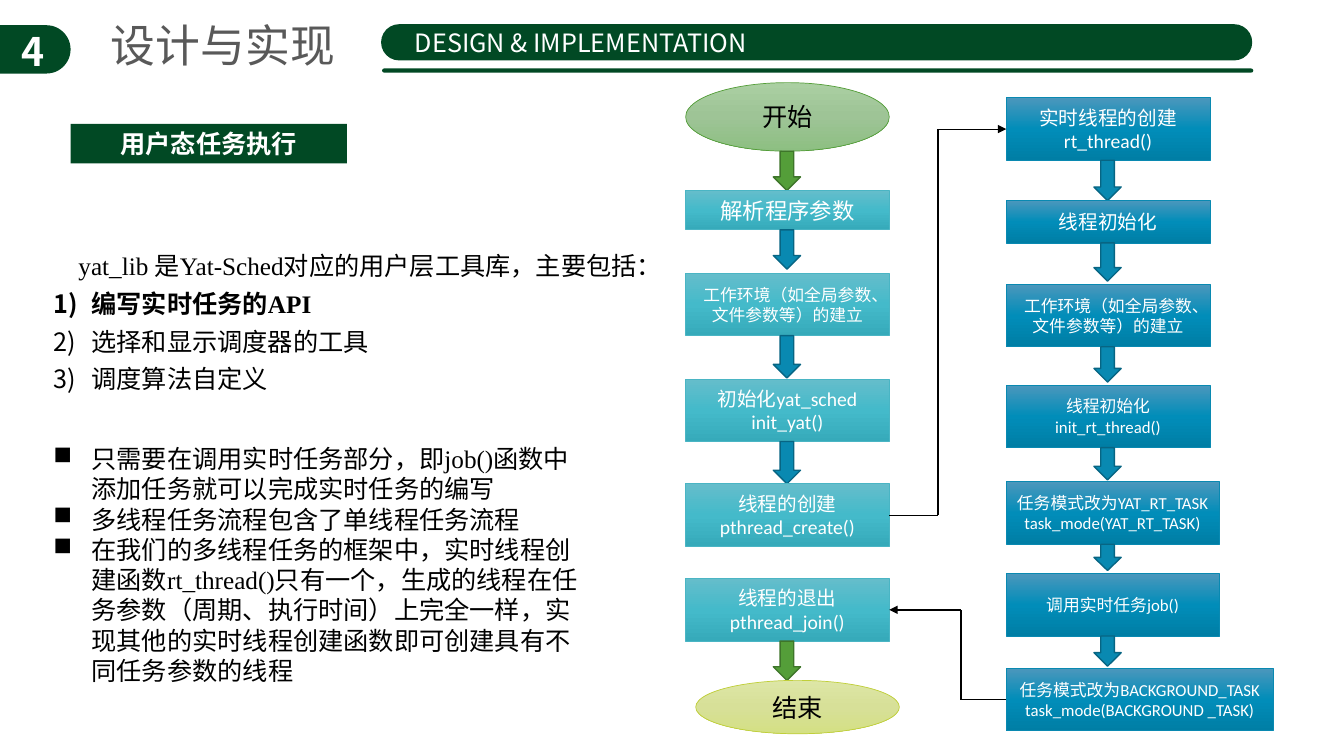
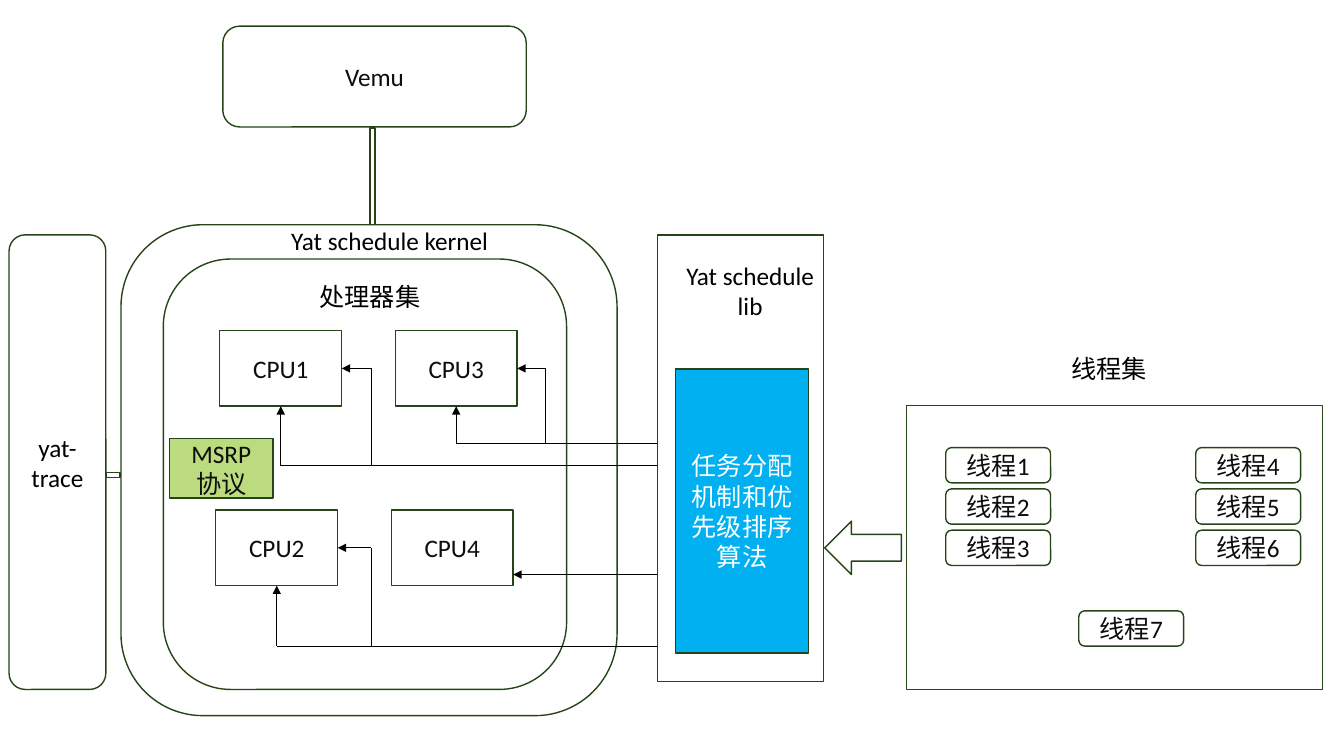
from copy import deepcopy
from dataclasses import dataclass

from lxml import etree
from pptx import Presentation
from pptx.dml.color import RGBColor
from pptx.enum.shapes import MSO_CONNECTOR, MSO_SHAPE
from pptx.enum.text import MSO_ANCHOR, MSO_AUTO_SIZE, PP_ALIGN
from pptx.oxml.ns import qn
from pptx.util import Inches, Pt

RECT, ROUND = MSO_SHAPE.RECTANGLE, MSO_SHAPE.ROUNDED_RECTANGLE
OVAL, DOWN, LEFT_ARROW = MSO_SHAPE.OVAL, MSO_SHAPE.DOWN_ARROW, MSO_SHAPE.LEFT_ARROW
STRAIGHT = MSO_CONNECTOR.STRAIGHT
TOP, MIDDLE = MSO_ANCHOR.TOP, MSO_ANCHOR.MIDDLE
LEFT, CENTER, JUSTIFY = PP_ALIGN.LEFT, PP_ALIGN.CENTER, PP_ALIGN.JUSTIFY
NO_AUTOFIT = MSO_AUTO_SIZE.NONE
LEFT_SIDE, BOTTOM_SIDE, RIGHT_SIDE = 1, 2, 3


@dataclass(frozen=True)
class Theme:
    green: str = "014924"
    outline: str = "254519"
    title: str = "595959"
    ink: str = "0D0D0D"
    black: str = "000000"
    white: str = "FFFFFF"
    algorithm: str = "00B0F0"
    protocol: str = "BBDB7E"
    start: tuple = (("AACFA2", "9EC496", "8DBF82"), "549E39")
    finish: tuple = (("DDE6A6", "D7E098", "D4E084"), "C0CF3A")
    teal: tuple = (("65BDCB", "44BACA", "36AABA"), "4AB5C4")
    blue: tuple = (("4B97BC", "018DB9", "007EA5"), "0989B1")
    green_arrow: tuple = ("549E39", "3E752A")
    blue_arrow: tuple = ("0989B1", "076583")
    font: str = "Calibri"
    cjk: str = "Noto Sans CJK SC"
    serif: str = "Times New Roman"
    title_size: int = 32
    number_size: int = 28
    body_size: int = 18
    step_size: int = 16
    detail_size: int = 14
    small_size: int = 12


T = Theme()


@dataclass(frozen=True)
class Step:
    top: float
    height: float
    text: str
    size: int
    style: tuple
    arrow: float = 0
    arrow_style: tuple = T.blue_arrow
    kind: int = RECT
    shift: float = 0
    width: float = 2.02


def write(tf, text, size=T.body_size, color=T.black, font=T.font, bold=False, align=LEFT):
    tf.text = text
    for p in tf.paragraphs:
        p.alignment = align
        for r in p.runs:
            r.font.size, r.font.name, r.font.bold = Pt(size), font, bold
            r.font.color.rgb = RGBColor.from_string(color)
            ea = etree.SubElement(r.font._element, qn("a:ea"))
            ea.set("typeface", T.cjk)


def text_box(s, box, text, wrap=True, **style):
    tf = s.shapes.add_textbox(*map(Inches, box)).text_frame
    tf.word_wrap = wrap
    write(tf, text, **style)
    return tf


def gradient(sp, colors):
    sp.fill.gradient()
    sp.fill.gradient_angle = 270
    stops = sp._element.spPr.find(".//" + qn("a:gsLst"))
    stops.append(deepcopy(stops[0]))
    for stop, position, color in zip(sp.fill.gradient_stops, (0, 0.5, 1), colors):
        stop.position = position
        stop.color.rgb = RGBColor.from_string(color)


def shape(s, kind, box, text="", fill=None, line=T.outline, width=1, radius=None, **style):
    sp = s.shapes.add_shape(kind, *map(Inches, box))
    sp.shadow.inherit = False
    if radius is not None:
        sp.adjustments[0] = radius
    if fill is None:
        sp.fill.background()
    elif isinstance(fill, tuple):
        gradient(sp, fill)
    else:
        sp.fill.solid()
        sp.fill.fore_color.rgb = RGBColor.from_string(fill)
    if line:
        sp.line.color.rgb = RGBColor.from_string(line)
        sp.line.width = Pt(width)
    else:
        sp.line.fill.background()
    if text:
        sp.text_frame.word_wrap = True
        sp.text_frame.vertical_anchor = MIDDLE
        write(sp.text_frame, text, align=CENTER, **{"color": T.ink, **style})
    return sp


def side(sp, site):
    x, y, w, h = (v / Inches(1) for v in (sp.left, sp.top, sp.width, sp.height))
    return ((x + w / 2, y), (x, y + h / 2), (x + w / 2, y + h), (x + w, y + h / 2))[site]


def route(s, points, end, widths=(0.5, 0.5), begin=None):
    points = ([side(*begin)] if begin else []) + points + [side(*end)]
    for i, (a, b) in enumerate(zip(points, points[1:])):
        cx = s.shapes.add_connector(STRAIGHT, *map(Inches, a + b))
        cx.line.color.rgb = RGBColor.from_string(T.black)
        cx.line.width = Pt(widths[i])
        if begin and i == 0:
            cx.begin_connect(*begin)
        if i == len(points) - 2:
            cx.end_connect(*end)
            tail = etree.SubElement(cx.line._get_or_add_ln(), qn("a:tailEnd"))
            tail.set("type", "triangle")
        etree.SubElement(cx._element.spPr, qn("a:effectLst"))


def bullet(p, tag, **attributes):
    pPr = p._p.get_or_add_pPr()
    pPr.set("marL", str(Inches(0.38)))
    pPr.set("indent", str(-Inches(0.38)))
    etree.SubElement(pPr, qn(tag), attributes)


def header(s, x, y, number, title, subtitle):
    bar = dict(fill=T.green, line=None, radius=0.5)
    shape(s, ROUND, (x - 0.28, y + 0.25, 0.98, 0.48), **bar)
    text_box(s, (x + 0.07, y + 0.22, 0.51, 0.57), number, size=T.number_size,
             color=T.white, font=T.cjk, bold=True, align=CENTER)
    ph = s.shapes.title
    ph.left, ph.top, ph.width, ph.height = map(Inches, (x + 1, y + 0.13, 2.45, 0.64))
    tf = ph.text_frame
    tf.word_wrap, tf.auto_size, tf.vertical_anchor = False, NO_AUTOFIT, TOP
    write(tf, title, size=T.title_size, color=T.title, font=T.cjk)
    shape(s, ROUND, (x + 3.78, y + 0.24, 8.64, 0.36), **bar)
    shape(s, ROUND, (x + 3.79, y + 0.68, 8.64, 0.04), **bar)
    text_box(s, (x + 2.22, y + 0.22, 7.08, 0.4), subtitle, color=T.white,
             font=T.cjk, align=CENTER)


def explanation(s, x, y):
    shape(s, RECT, (x + 0.27, y, 2.74, 0.39), "用户态任务执行", fill=T.green, line=None,
          color=T.white, font=T.cjk, bold=True)
    contents = text_box(s, (x, y + 1.13, 6.8, 1.58), "\n".join((
        "yat_lib 是Yat-Sched对应的用户层工具库，主要包括：",
        "编写实时任务的API",
        "选择和显示调度器的工具",
        "调度算法自定义")), font=T.serif, align=JUSTIFY)
    for p in contents.paragraphs:
        p.line_spacing = 1.25
    intro, *items = contents.paragraphs
    intro._p.get_or_add_pPr().set("indent", str(Inches(0.25)))
    for p in items:
        bullet(p, "a:buAutoNum", type="arabicParenR")
    items[0].runs[0].font.bold = True
    notes = text_box(s, (x, y + 3.12, 5.51, 3.1), "\n".join((
        "只需要在调用实时任务部分，即job()函数中添加任务就可以完成实时任务的编写",
        "多线程任务流程包含了单线程任务流程",
        "在我们的多线程任务的框架中，实时线程创建函数rt_thread()只有一个，"
        "生成的线程在任务参数（周期、执行时间）上完全一样，"
        "实现其他的实时线程创建函数即可创建具有不同任务参数的线程")), font=T.serif)
    for p in notes.paragraphs:
        bullet(p, "a:buChar", char="■")


def flow(s, x, y, steps):
    nodes = []
    for st in steps:
        colors, line = st.style
        nodes.append(shape(s, st.kind, (x + st.shift, y + st.top, st.width, st.height),
                           st.text, fill=colors, line=line, width=0.5, size=st.size,
                           color=T.black if st.kind == OVAL else T.white))
        if st.arrow:
            fill, edge = st.arrow_style
            shape(s, DOWN, (x + 0.87, y + st.top + st.height, 0.27, st.arrow),
                  fill=fill, line=edge)
    return nodes


ENVIRONMENT = "工作环境（如全局参数、文件参数等）的建立"
MAIN_STEPS = (
    Step(0, 0.68, "开始", T.body_size, T.start, 0.39, T.green_arrow, OVAL),
    Step(1.07, 0.39, "解析程序参数", T.step_size, T.teal, 0.39),
    Step(1.89, 0.62, ENVIRONMENT, T.small_size, T.teal, 0.42),
    Step(2.94, 0.62, "初始化yat_sched\ninit_yat()", T.detail_size, T.teal, 0.42),
    Step(3.98, 0.62, "线程的创建\npthread_create()", T.detail_size, T.teal),
    Step(4.92, 0.62, "线程的退出\npthread_join()", T.detail_size, T.teal, 0.39, T.green_arrow),
    Step(5.93, 0.53, "结束", T.body_size, T.finish, kind=OVAL, shift=0.1),
)
THREAD_STEPS = (
    Step(0, 0.62, "实时线程的创建\nrt_thread()", T.detail_size, T.blue, 0.4),
    Step(1.02, 0.42, "线程初始化", T.detail_size, T.blue, 0.38),
    Step(1.85, 0.62, ENVIRONMENT, T.small_size, T.blue, 0.35),
    Step(2.85, 0.62, "线程初始化\ninit_rt_thread()", T.small_size, T.blue, 0.32),
    Step(3.81, 0.62, "任务模式改为YAT_RT_TASK\ntask_mode(YAT_RT_TASK)", T.small_size,
         T.blue, 0.26, width=2.11),
    Step(4.72, 0.62, "调用实时任务job()", T.small_size, T.blue, 0.3, width=2.11),
    Step(5.66, 0.62, "任务模式改为BACKGROUND_TASK\ntask_mode(BACKGROUND _TASK)",
         T.small_size, T.blue, width=2.65),
)


def execution_slide(prs):
    s = prs.slides.add_slide(prs.slide_layouts[5])
    header(s, 0, 0, "4", "设计与实现", "DESIGN & IMPLEMENTATION")
    explanation(s, 0.43, 1.23)
    main = flow(s, 6.8, 0.82, MAIN_STEPS)
    thread = flow(s, 9.98, 0.97, THREAD_STEPS)
    create, join = main[4], main[5]
    for source, target, x, widths in (
            ((create, RIGHT_SIDE), (thread[0], LEFT_SIDE), 9.3, (0.5, 1.5, 0.5)),
            ((thread[-1], LEFT_SIDE), (join, RIGHT_SIDE), 9.53, (0.5, 1.5, 1.5))):
        bends = [(x, side(*source)[1]), (x, side(*target)[1])]
        route(s, bends, target, widths, source)


def thread_set(s, x, y):
    text_box(s, (x + 1.54, y - 0.56, 0.96, 0.4), "线程集", wrap=False)
    shape(s, RECT, (x, y, 4.13, 2.82))
    places = [(col, 0.42 + 0.41 * row) for col in (0.39, 2.87) for row in range(3)]
    for n, (dx, dy) in enumerate(places + [(1.71, 2.04)], 1):
        shape(s, ROUND, (x + dx, y + dy, 1.04, 0.35), f"线程{n}")


def library(s, x, y):
    shape(s, RECT, (x, y, 1.65, 4.43))
    text_box(s, (x + 0.18, y + 0.2, 1.48, 0.71), "Yat schedule\nlib", wrap=False, align=CENTER)
    shape(s, RECT, (x + 0.18, y + 1.33, 1.32, 2.82), "任务分配机制和优先级排序算法",
          fill=T.algorithm, color=T.white)
    shape(s, LEFT_ARROW, (x + 1.66, y + 2.84, 0.76, 0.53))


def kernel(s, x, y, bus_x):
    shape(s, ROUND, (x, y, 4.92, 4.87))
    shape(s, ROUND, (x + 0.42, y + 0.34, 4, 4.27))
    text_box(s, (x + 1.59, y - 0.04, 2.18, 0.4), "Yat schedule kernel", wrap=False)
    text_box(s, (x + 1.87, y + 0.51, 1.21, 0.4), "处理器集", wrap=False)
    cpu1, cpu2, cpu3, cpu4 = [
        shape(s, RECT, (x + dx, y + dy, 1.21, 0.75), f"CPU{n}")
        for n, (dx, dy) in enumerate(((0.98, 1.05), (0.94, 2.83), (2.72, 1.05), (2.68, 2.83)), 1)]
    for cpu, bus, branch in ((cpu1, 2.39, 2.48), (cpu3, 2.17, 4.21), (cpu2, 4.18, 2.48)):
        bus_y, branch_x = y + bus, x + branch
        route(s, [(bus_x, bus_y), (side(cpu, BOTTOM_SIDE)[0], bus_y)], (cpu, BOTTOM_SIDE))
        route(s, [(branch_x, bus_y), (branch_x, side(cpu, RIGHT_SIDE)[1])], (cpu, RIGHT_SIDE))
    cx = s.shapes.add_connector(STRAIGHT, Inches(bus_x), Inches(y + 3.47),
                                cpu4.left + cpu4.width, Inches(y + 3.47))
    cx.line.color.rgb = RGBColor.from_string(T.black)
    cx.line.width = Pt(0.5)
    etree.SubElement(cx.line._get_or_add_ln(), qn("a:tailEnd")).set("type", "triangle")
    etree.SubElement(cx._element.spPr, qn("a:effectLst"))
    shape(s, RECT, (x + 0.48, y + 2.12, 1.03, 0.59), "MSRP协议", fill=T.protocol)


def architecture_slide(prs):
    s = prs.slides.add_slide(prs.slide_layouts[6])
    thread_set(s, 8.99, 4.02)
    kernel(s, 1.2, 2.23, 6.52)
    library(s, 6.52, 2.33)
    shape(s, ROUND, (2.21, 0.26, 3.01, 1), "Vemu")
    shape(s, ROUND, (0.09, 2.33, 0.96, 4.51), "yat-trace", fill=T.white, color=T.black)
    for link in ((3.67, 1.27, 0.05, 0.96), (1.05, 4.69, 0.14, 0.05)):
        shape(s, RECT, link, fill=T.white)


def main():
    prs = Presentation()
    prs.slide_width, prs.slide_height = Inches(13.33), Inches(7.5)
    execution_slide(prs)
    architecture_slide(prs)
    prs.save("out.pptx")


if __name__ == "__main__":
    main()
